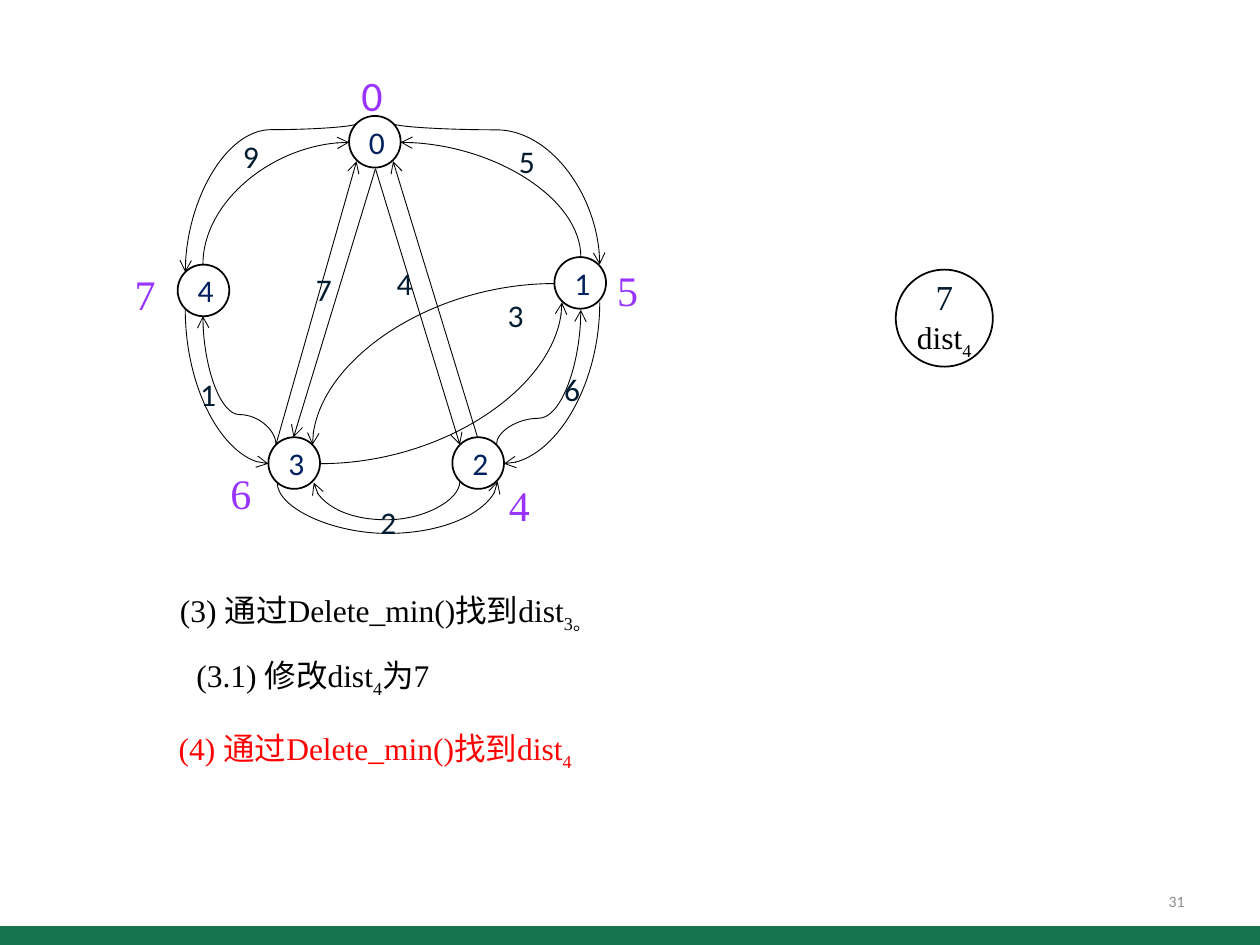
from typing import NamedTuple, Optional

from lxml.etree import SubElement
from pptx import Presentation
from pptx.dml.color import RGBColor
from pptx.enum.shapes import MSO_CONNECTOR as Link, MSO_SHAPE as Preset
from pptx.enum.text import MSO_ANCHOR as Anchor, PP_ALIGN as Align
from pptx.oxml.ns import qn
from pptx.util import Inches, Pt

SANS, SERIF = "Calibri", "Times New Roman"
BLACK, NAVY, INK, PURPLE = "000000", "002060", "001C30", "9933FF"
NODE_SIZE = 0.41


class Span(NamedTuple):
    text: str
    size: float = 18
    color: str = BLACK
    font: str = SERIF
    lowered: bool = False


class Node(NamedTuple):
    name: str
    left: float
    top: float


class Label(NamedTuple):
    text: str
    left: float
    top: float
    font: str = SANS


class Edge(NamedTuple):
    start: tuple[float, float]
    end: tuple[float, float]
    heading: str = "straight"
    level: Optional[float] = None
    arrow: str = "tailEnd"


NODES = [Node("0", 2.77, 0.92), Node("4", 1.41, 2.1), Node("3", 2.13, 3.47),
         Node("2", 3.59, 3.47), Node("1", 4.4, 2.04)]
WEIGHTS = [Label("9", 1.83, 1.04), Label("5", 4.02, 1.08), Label("4", 3.05, 2.05),
           Label("7", 2.41, 2.09), Label("1", 1.49, 2.93), Label("2", 2.92, 3.94),
           Label("3", 3.93, 2.3), Label("6", 4.38, 2.89)]
DISTANCES = [Label("0", 2.77, 0.5), Label("5", 4.8, 2.05, SERIF),
             Label("4", 3.94, 3.76, SERIF), Label("6", 1.73, 3.66, SERIF),
             Label("7", 0.97, 2.08, SERIF)]
EDGES = [
    Edge((2.83, 0.98), (1.47, 2.16), "down", 1.03),
    Edge((2.13, 3.68), (1.47, 2.45), "left", arrow="headEnd"),
    Edge((4.76, 2.1), (3.12, 0.98), "up", 1.03, "headEnd"),
    Edge((3.95, 3.82), (2.2, 3.83), "down", 4.24, "headEnd"),
    Edge((4.76, 2.4), (4, 3.68), "down"),
    Edge((4.4, 2.25), (2.48, 3.53), "left"),
    Edge((3.65, 3.82), (2.49, 3.83), "down", 4.13),
    Edge((4.46, 2.4), (2.54, 3.68), "down", arrow="headEnd"),
    Edge((2.19, 3.53), (1.61, 2.51), "up", 3.29),
    Edge((4.61, 2.46), (3.94, 3.53), "down", 3.32, "headEnd"),
    Edge((2.77, 1.13), (1.61, 2.1), "left", arrow="headEnd"),
    Edge((4.61, 2.04), (3.18, 1.13), "up"),
    Edge((2.98, 1.34), (3.65, 3.53)),
    Edge((2.98, 1.34), (2.33, 3.47)),
    Edge((2.19, 3.53), (2.83, 1.28)),
    Edge((3.79, 3.47), (3.12, 1.28)),
]


def rgb(color: str) -> RGBColor:
    return RGBColor.from_string(color)


def write(para, spans: list[Span]) -> None:
    for span in spans:
        if span.text == "\n":
            para.add_line_break()
            continue
        run = para.add_run()
        run.text = span.text
        run.font.size = Pt(span.size)
        run.font.name = span.font
        run.font.color.rgb = rgb(span.color)
        if span.lowered:
            run.font._element.set("baseline", "-25000")


def add_text(page, left: float, top: float, width: float, height: float,
             spans: list[Span], *, wrap: bool = True, align=Align.LEFT,
             anchor=Anchor.TOP) -> None:
    box = page.shapes.add_textbox(*map(Inches, (left, top, width, height)))
    box.text_frame.word_wrap = wrap
    box.text_frame.vertical_anchor = anchor
    para = box.text_frame.paragraphs[0]
    para.alignment = align
    write(para, spans)


def add_circle(page, left: float, top: float, size: float,
               spans: list[Span], inset: Optional[float] = None) -> None:
    circle = page.shapes.add_shape(Preset.OVAL, *map(Inches, (left, top, size, size)))
    circle.shadow.inherit = False
    circle.fill.background()
    circle.line.color.rgb = rgb(BLACK)
    circle.line.width = Pt(1)
    frame = circle.text_frame
    frame.vertical_anchor = Anchor.MIDDLE
    if inset is not None:
        frame.margin_left = frame.margin_right = Inches(inset)
        frame.margin_top = frame.margin_bottom = Inches(inset)
    frame.paragraphs[0].alignment = Align.CENTER
    write(frame.paragraphs[0], spans)


def add_curve(page, edge: Edge):
    (x1, y1), (x2, y2) = edge.start, edge.end
    across, down = x2 - x1, y2 - y1
    turn, flipped = {"down": (90, across > 0), "up": (270, across < 0),
                     "left": (180, down > 0)}[edge.heading]
    width, height = abs(across), abs(down)
    if edge.heading != "left":
        width, height = height, width
    left, top = (x1 + x2 - width) / 2, (y1 + y2 - height) / 2
    curve = page.shapes.add_connector(
        Link.CURVE, *map(Inches, (left, top, left + width, top + height)))
    properties = curve._element.spPr
    frame = properties.find(qn("a:xfrm"))
    frame.set("rot", str(turn * 60000))
    if flipped:
        frame.set("flipV", "1")
    geometry = properties.find(qn("a:prstGeom"))
    if edge.level is None:
        geometry.set("prst", "curvedConnector2")
    else:
        guides = geometry.find(qn("a:avLst"))
        if guides is None:
            guides = SubElement(geometry, qn("a:avLst"))
        bend = round((edge.level - y1) / down * 100000)
        SubElement(guides, qn("a:gd"), name="adj1", fmla=f"val {bend}")
    return curve


def add_edge(page, edge: Edge) -> None:
    if edge.heading == "straight":
        link = page.shapes.add_connector(
            Link.STRAIGHT, *map(Inches, edge.start + edge.end))
    else:
        link = add_curve(page, edge)
    link.line.color.rgb = rgb(BLACK)
    link.line.width = Pt(0.5)
    SubElement(link.line._get_or_add_ln(), qn(f"a:{edge.arrow}"), type="arrow")
    SubElement(link._element.spPr, qn("a:effectLst"))


def main() -> None:
    deck = Presentation()
    deck.slide_width, deck.slide_height = Inches(10), Inches(7.5)
    page = deck.slides.add_slide(deck.slide_layouts[6])

    band = page.shapes.add_shape(
        Preset.RECTANGLE, Inches(0), Inches(7.35), Inches(10), Inches(0.18))
    band.shadow.inherit = False
    band.fill.solid()
    band.fill.fore_color.rgb = rgb("16754D")
    band.line.fill.background()
    add_text(page, 7.17, 6.95, 2.33, 0.4, [Span("31", 9, "8C8C8C", SANS)],
             align=Align.RIGHT, anchor=Anchor.MIDDLE)

    for node in NODES:
        add_circle(page, node.left, node.top, NODE_SIZE,
                   [Span(node.name, 18, NAVY, SANS)])
    for edge in EDGES:
        add_edge(page, edge)
    for label in WEIGHTS:
        add_text(page, label.left, label.top, 0.34, 0.4,
                 [Span(label.text, 18, INK, label.font)], wrap=False)
    for label in DISTANCES:
        add_text(page, label.left, label.top, 0.37, 0.5,
                 [Span(label.text, 24, PURPLE, label.font)], wrap=False)

    add_circle(page, 7.11, 2.14, 0.77,
               [Span("7", 20, INK), Span("\n"), Span("dist"), Span("4", lowered=True)],
               inset=0)
    add_text(page, 1.33, 4.64, 3.98, 0.4,
             [Span("(3) 通过Delete_min()找到dist"), Span("3。", lowered=True)])
    add_text(page, 1.46, 5.16, 2.89, 0.4,
             [Span("(3.1) 修改dist"), Span("4", lowered=True), Span("为7")])
    add_text(page, 1.32, 5.74, 3.99, 0.4,
             [Span("(4) 通过Delete_min()找到dist", color="FF0000"),
              Span("4", color="FF0000", lowered=True)])
    deck.save("out.pptx")


if __name__ == "__main__":
    main()
